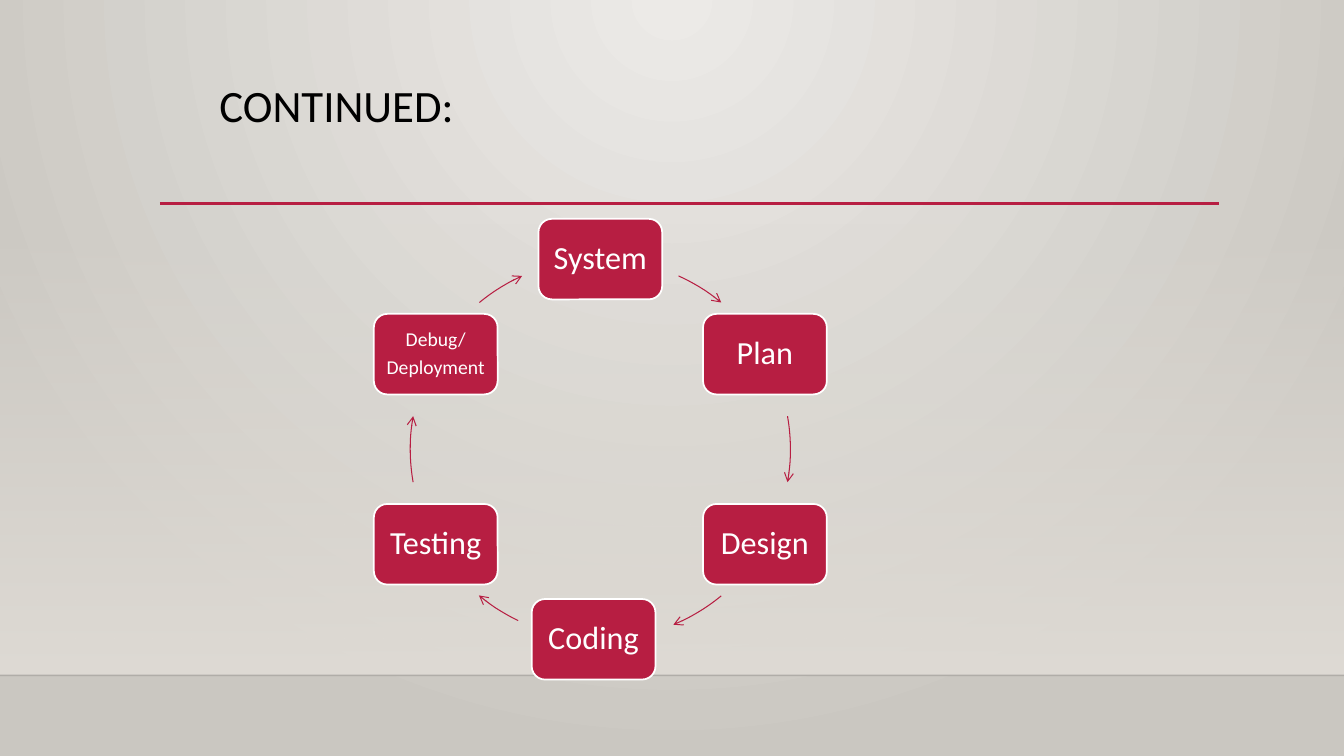
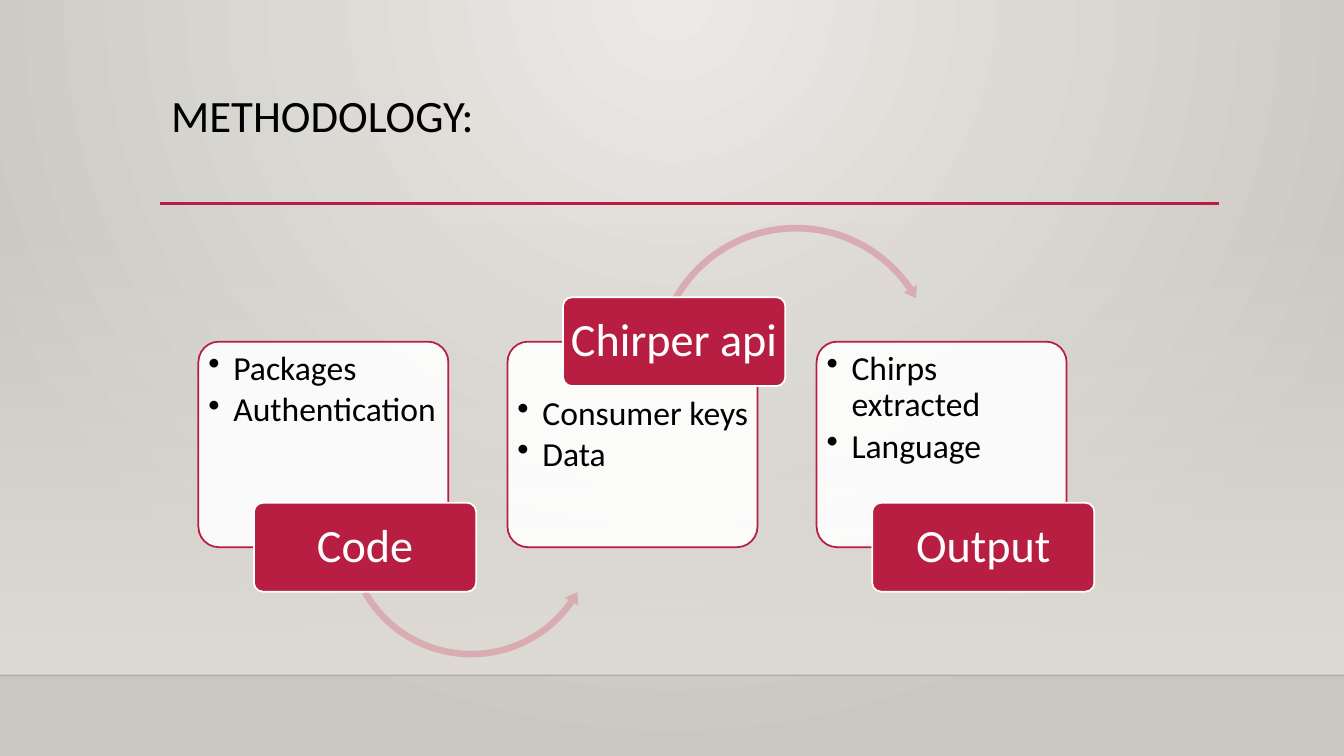
"""Build two slides: a development cycle and a three-step methodology."""
from lxml.etree import SubElement
from pptx import Presentation
from pptx.dml.color import RGBColor
from pptx.enum.shapes import MSO_CONNECTOR, MSO_SHAPE
from pptx.enum.text import MSO_ANCHOR, PP_ALIGN
from pptx.oxml.ns import qn
from pptx.util import Cm, Pt
from math import cos, radians, sin

RED, WHITE, BLACK, PINK, SAND = "B71E42", "FFFFFF", "000000", "D8ACB0", "DFDBD5"
WIDE, HIGH = 33.87, 19.05


def tint(color, hue, node=None, alpha=100):
    color.rgb = RGBColor.from_string(hue)
    if node is not None:
        first = next(node.iter(qn("a:srgbClr")))
        SubElement(first, qn("a:alpha")).set("val", str(alpha * 1000))


def write(shape, text, size, hue=WHITE, align=PP_ALIGN.CENTER, anchor=MSO_ANCHOR.MIDDLE,
          after=0, inset=(0, 0, 0, 0), bullet=None):
    frame = shape.text_frame
    frame.text = text
    frame.word_wrap = True
    frame.vertical_anchor = anchor
    frame.margin_left, frame.margin_top, frame.margin_right, frame.margin_bottom = map(Cm, inset)
    for para in frame.paragraphs:
        para.alignment = align
        para.line_spacing = 0.9
        para.space_before, para.space_after = Pt(0), Pt(after)
        font = para.runs[0].font
        font.name, font.size = "Calibri", Pt(size)
        tint(font.color, hue)
        if bullet:
            props = para.runs[0].font and para._p.get_or_add_pPr()
            props.set("marL", str(Cm(0.63)))
            props.set("indent", str(-Cm(0.63)))
            SubElement(props, qn("a:buChar")).set("char", bullet)


deck = Presentation()
deck.slide_width, deck.slide_height = Cm(WIDE), Cm(HIGH)
layout = deck.slide_layouts[5]
for holder in list(layout.placeholders)[1:]:
    holder.element.getparent().remove(holder.element)
head = layout.placeholders[0]
head.left, head.top, head.width, head.height = Cm(4.06), Cm(1.97), Cm(22), Cm(2)

back = layout.background.fill
back.gradient()
for stop, hue in zip(back.gradient_stops, ("ECEAE7", "CAC7C1")):
    tint(stop.color, hue)
grad = next(layout.element.iter(qn("a:gradFill")))
grad.remove(grad.find(qn("a:lin")))
glow = SubElement(grad, qn("a:path"))
glow.set("path", "circle")
focus = SubElement(glow, qn("a:fillToRect"))
for side, share in zip("ltrb", (43, 0, 43, 100)):
    focus.set(side, str(share * 1000))

slides = []
for title, left, top in (("CONTINUED:", 5.28, 1.72), ("METHODOLOGY:", 4.06, 1.97)):
    slide = deck.slides.add_slide(layout)
    box = slide.shapes.title
    box.left, box.top, box.width, box.height = Cm(left), Cm(top), Cm(22), Cm(2)
    write(box, title, 32, BLACK, PP_ALIGN.LEFT, inset=(0.25, 0, 0.25, 0))
    slides.append(slide)
cycle, method = [slide.shapes for slide in slides]

band = cycle.add_shape(MSO_SHAPE.RECTANGLE, 0, Cm(5.6), Cm(WIDE), Cm(11.42))
band.shadow.inherit = False
band.line.fill.background()
band.fill.gradient()
band.fill.gradient_angle = 270
start, end = band.fill.gradient_stops
tint(end.color, SAND)
tint(start.color, SAND, band.element, 0)
head.element.addprevious(band.element)
for left, right, top, hue, width, alpha in ((0, WIDE, 17.02, BLACK, 1, 20),
                                            (4.03, 30.72, 5.13, RED, 2.5, 100)):
    rule = cycle.add_connector(MSO_CONNECTOR.STRAIGHT, Cm(left), Cm(top), Cm(right), Cm(top))
    rule.line.width = Pt(width)
    tint(rule.line.color, hue, rule.element, alpha)
    SubElement(rule.element.spPr, qn("a:effectLst"))
    head.element.addprevious(rule.element)

MID_X, MID_Y, RADIUS = 15.13, 11.32, 4.79
NODE_W, NODE_H = 3.12, 2.03
steps = (
    ("System", 23, 0, 24.3, 39.5),
    ("Plan", 23, 0, 80, 100),
    ("Design", 23, 0, 140.5, 157.4),
    ("Coding", 23, -0.17, 205.6, 219.7),
    ("Testing", 23, 0, 260, 280),
    ("Debug/\nDeployment", 14, 0, 320.5, 335.7),
)
for i, (label, size, shift, first, last) in enumerate(steps):
    turn = radians(60 * i)
    left = MID_X + RADIUS * sin(turn) - NODE_W / 2 + shift
    top = MID_Y - RADIUS * cos(turn) - NODE_H / 2
    node = cycle.add_shape(MSO_SHAPE.ROUNDED_RECTANGLE, Cm(left), Cm(top), Cm(NODE_W), Cm(NODE_H))
    node.shadow.inherit = False
    node.fill.solid()
    tint(node.fill.fore_color, RED)
    node.line.width = Pt(1.25)
    tint(node.line.color, WHITE)
    write(node, label, size, after=5)

    arc = cycle.add_shape(MSO_SHAPE.ARC, Cm(MID_X - RADIUS), Cm(MID_Y - RADIUS),
                          Cm(2 * RADIUS), Cm(2 * RADIUS))
    arc.shadow.inherit = False
    arc.fill.background()
    for k, angle in enumerate((first, last)):
        arc.adjustments[k] = (angle - 90) % 360 * 0.6
    arc.line.width = Pt(0.75)
    tint(arc.line.color, RED)
    SubElement(next(arc.element.iter(qn("a:ln"))), qn("a:tailEnd")).set("type", "arrow")

CARD_X, CARD_Y, CARD_W, CARD_H, PITCH = 5, 8.61, 6.3, 5.18, 7.79
TAG_W, TAG_H = 5.6, 2.24
stages = (
    ("Code", "Packages\nAuthentication", False,
     (MSO_SHAPE.LEFT_CIRCULAR_ARROW, 10.13, 6.55, 2.5, (5.16, 34.75, 150.41), 3)),
    ("Chirper api", "Consumer keys\nData", True,
     (MSO_SHAPE.CIRCULAR_ARROW, 5.56, 7.34, 2.3, (4.56, 325.85, 209.59), 2.6)),
    ("Output", "Chirps extracted\nLanguage", False, None),
)
for i, (label, points, above, swing) in enumerate(stages):
    left = CARD_X + i * PITCH
    edge = CARD_Y if above else CARD_Y + CARD_H
    card = method.add_shape(MSO_SHAPE.ROUNDED_RECTANGLE, Cm(left), Cm(CARD_Y),
                            Cm(CARD_W), Cm(CARD_H))
    tag = method.add_shape(MSO_SHAPE.ROUNDED_RECTANGLE, Cm(left + 1.4), Cm(edge - TAG_H / 2),
                           Cm(TAG_W), Cm(TAG_H))
    for box, fill, line, alpha in ((card, WHITE, RED, 90), (tag, RED, WHITE, 100)):
        box.shadow.inherit = False
        box.adjustments[0] = 0.1
        box.fill.solid()
        tint(box.fill.fore_color, fill, box.element, alpha)
        box.line.width = Pt(1.25)
        tint(box.line.color, line)
    drop = TAG_H / 2 if above else 0
    write(card, points, 24, BLACK, PP_ALIGN.LEFT, MSO_ANCHOR.TOP, 3.6,
          (0.1, 0.1 + drop, 0, 0), "•")
    write(tag, label, 33)
    if swing:
        kind, top, size, thick, angles, tip = swing
        arrow = method.add_shape(kind, Cm(left + 3.6), Cm(top), Cm(size), Cm(size))
        arrow.shadow.inherit = False
        arrow.fill.solid()
        tint(arrow.fill.fore_color, PINK)
        arrow.line.fill.background()
        values = [thick / 100, *(angle * 0.6 for angle in angles), tip / 100]
        for k, value in enumerate(values):
            arrow.adjustments[k] = value
        tag.element.addprevious(arrow.element)

deck.save("out.pptx")
